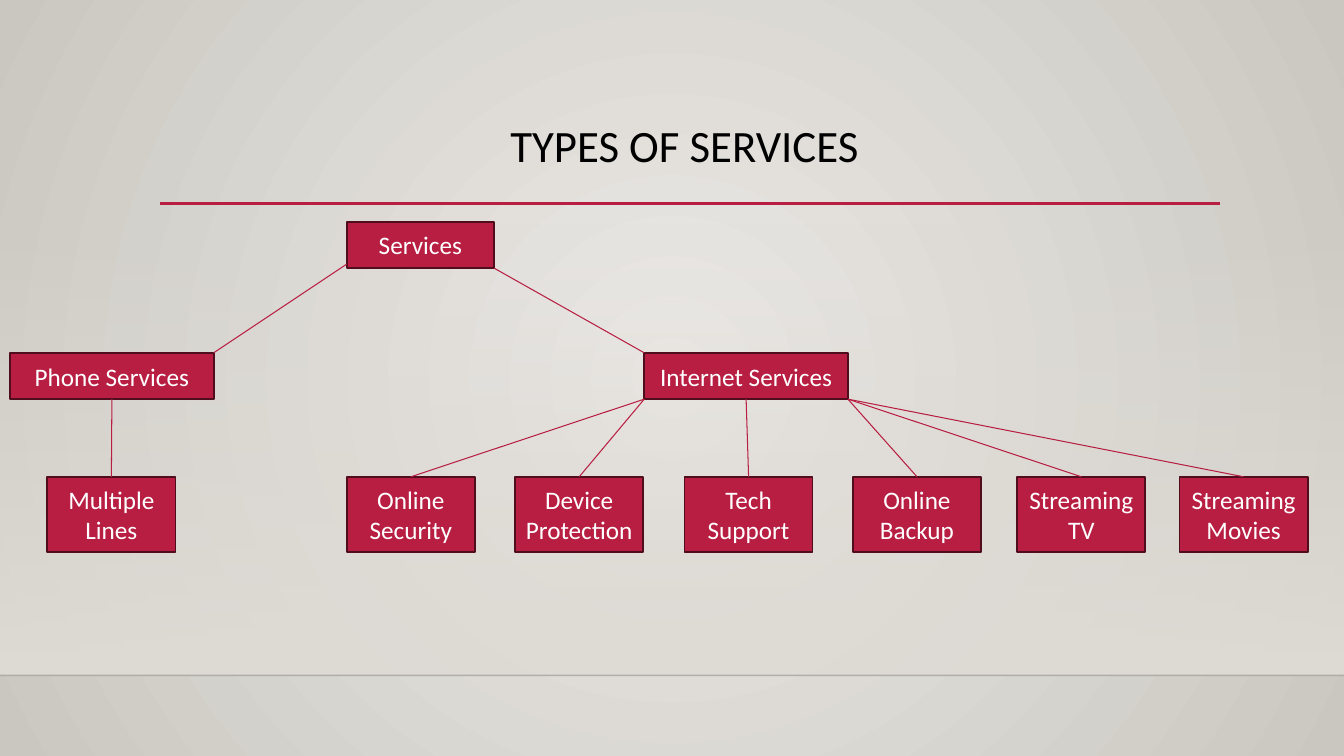
import pptx
import pptx.util
import pptx.dml.color
import pptx.enum.dml
import pptx.enum.shapes
import pptx.enum.text
import pptx.oxml.ns
from lxml import etree

Inches, Pt = pptx.util.Inches, pptx.util.Pt
qn = pptx.oxml.ns.qn

COLORS = {
    "center": "ECEAE7", "edge": "CAC7C1", "panel": "DFDBD5",
    "accent": "B71E42", "border": "500D1D", "ledge": "000001",
    "title": "000000", "label": "FFFFFF",
}
FONT = "Calibri"
ADDONS = [
    (3.44, "Online Security", "left"),
    (5.11, "Device Protection", "left"),
    (6.79, "Tech Support", "middle"),
    (8.46, "Online Backup", "right"),
    (10.09, "Streaming\vTV", "right"),
    (11.7, "Streaming\vMovies", "right"),
]


def rgb(name):
    """Return the named colour."""
    return pptx.dml.color.RGBColor.from_string(COLORS[name])


def set_alpha(fill_element, percent):
    """Set the opacity of the first colour inside an element."""
    color = fill_element.find(".//" + qn("a:srgbClr"))
    etree.SubElement(color, qn("a:alpha")).set("val", str(percent * 1000))


def set_gradient(fill, first, last):
    """Give a fill a two-stop gradient."""
    fill.gradient()
    for stop, name in zip(fill.gradient_stops, (first, last)):
        stop.color.rgb = rgb(name)


def format_runs(tf, size, color):
    """Centre the paragraphs and format their runs."""
    for p in tf.paragraphs:
        p.alignment = pptx.enum.text.PP_ALIGN.CENTER
        for r in p.runs:
            r.font.name = FONT
            r.font.size = Pt(size)
            r.font.color.rgb = rgb(color)


def add_line(s, start, end, color="accent", width=0.75):
    """Draw a straight line between two points."""
    line = s.shapes.add_connector(
        pptx.enum.shapes.MSO_CONNECTOR.STRAIGHT,
        *(Inches(v) for v in (*start, *end)))
    line.line.color.rgb = rgb(color)
    line.line.width = Pt(width)
    etree.SubElement(line._element.spPr, qn("a:effectLst"))
    return line


def add_rect(s, left, top, width, height):
    """Add a plain rectangle without shadow."""
    sp = s.shapes.add_shape(
        pptx.enum.shapes.MSO_SHAPE.RECTANGLE,
        *(Inches(v) for v in (left, top, width, height)))
    sp.shadow.inherit = False
    return sp


def add_backdrop(s, width, top, ledge):
    """Paint the background, the fading panel and the ledge line."""
    fill = s.background.fill
    set_gradient(fill, "center", "edge")
    grad = s._element.find(".//" + qn("a:gradFill"))
    grad.remove(grad.find(qn("a:lin")))
    path = etree.SubElement(grad, qn("a:path"), {"path": "circle"})
    etree.SubElement(path, qn("a:fillToRect"), dict.fromkeys("ltrb", "50000"))

    panel = add_rect(s, 0, top, width, ledge - top)
    set_gradient(panel.fill, "panel", "panel")
    panel.fill.gradient_angle = 270
    set_alpha(panel._element.spPr.find(qn("a:gradFill")), 0)
    panel.line.fill.background()

    line = add_line(s, (0, ledge), (width, ledge), "ledge", 1)
    set_alpha(line._element.spPr.find(qn("a:ln")), 20)


def add_title(s, left, top, width, height):
    """Place the title and the rule beneath it."""
    title = s.shapes.title
    title.left, title.top = Inches(left), Inches(top)
    title.width, title.height = Inches(width), Inches(height)
    tf = title.text_frame
    tf.text = "TYPES OF SERVICES"
    tf.word_wrap = True
    tf.vertical_anchor = pptx.enum.text.MSO_ANCHOR.TOP
    tf.paragraphs[0].line_spacing = 0.9
    format_runs(tf, 32, "title")
    add_line(s, (left + 0.05, top + 0.84), (left + 10.56, top + 0.84), width=2.5)


def add_node(s, text, left, top, width, height):
    """Add one labelled box of the tree."""
    sp = add_rect(s, left, top, width, height)
    sp.fill.solid()
    sp.fill.fore_color.rgb = rgb("accent")
    sp.line.color.rgb = rgb("border")
    sp.line.width = Pt(1.25)
    tf = sp.text_frame
    tf.text = text
    tf.word_wrap = True
    tf.vertical_anchor = pptx.enum.text.MSO_ANCHOR.MIDDLE
    format_runs(tf, 18, "label")
    return sp


def link_down(s, parent, child, start, side="middle"):
    """Join a parent's underside to the top of its child."""
    line = add_line(s, start, start)
    if side == "middle":
        line.begin_connect(parent, 2)
    line.end_connect(child, 0)


def add_tree(s, left, top):
    """Draw the three levels of services and their links."""
    group_w, leaf_w, bar_h, leaf_h = 2.02, 1.27, 0.46, 0.75
    root_x, root_w, internet_x = left + 3.34, 1.46, left + 6.29
    group_y, leaf_y = top + 1.3, top + 2.53
    base = group_y + bar_h

    add_node(s, "Services", root_x, top, root_w, bar_h)
    phone = add_node(s, "Phone Services", left, group_y, group_w, bar_h)
    internet = add_node(s, "Internet Services", internet_x, group_y, group_w, bar_h)
    add_line(s, (root_x, top + 0.42), (left + group_w, group_y))
    add_line(s, (root_x + root_w, top + bar_h), (internet_x, group_y))

    lines = add_node(s, "Multiple Lines", left + 0.37, leaf_y, leaf_w, leaf_h)
    link_down(s, phone, lines, (left + group_w / 2, base))
    starts = {"left": internet_x, "middle": internet_x + group_w / 2,
              "right": internet_x + group_w}
    for leaf_x, text, side in ADDONS:
        leaf = add_node(s, text, leaf_x, leaf_y, leaf_w, leaf_h)
        link_down(s, internet, leaf, (starts[side], base), side)


def main():
    """Build and save the slide."""
    prs = pptx.Presentation()
    prs.slide_width, prs.slide_height = Inches(13.33), Inches(7.5)
    s = prs.slides.add_slide(prs.slide_layouts[5])
    add_backdrop(s, 13.33, 2.21, 6.7)
    add_title(s, 1.54, 1.18, 10.5, 1.01)
    add_tree(s, 0.1, 2.2)
    prs.save("out.pptx")


if __name__ == "__main__":
    main()
